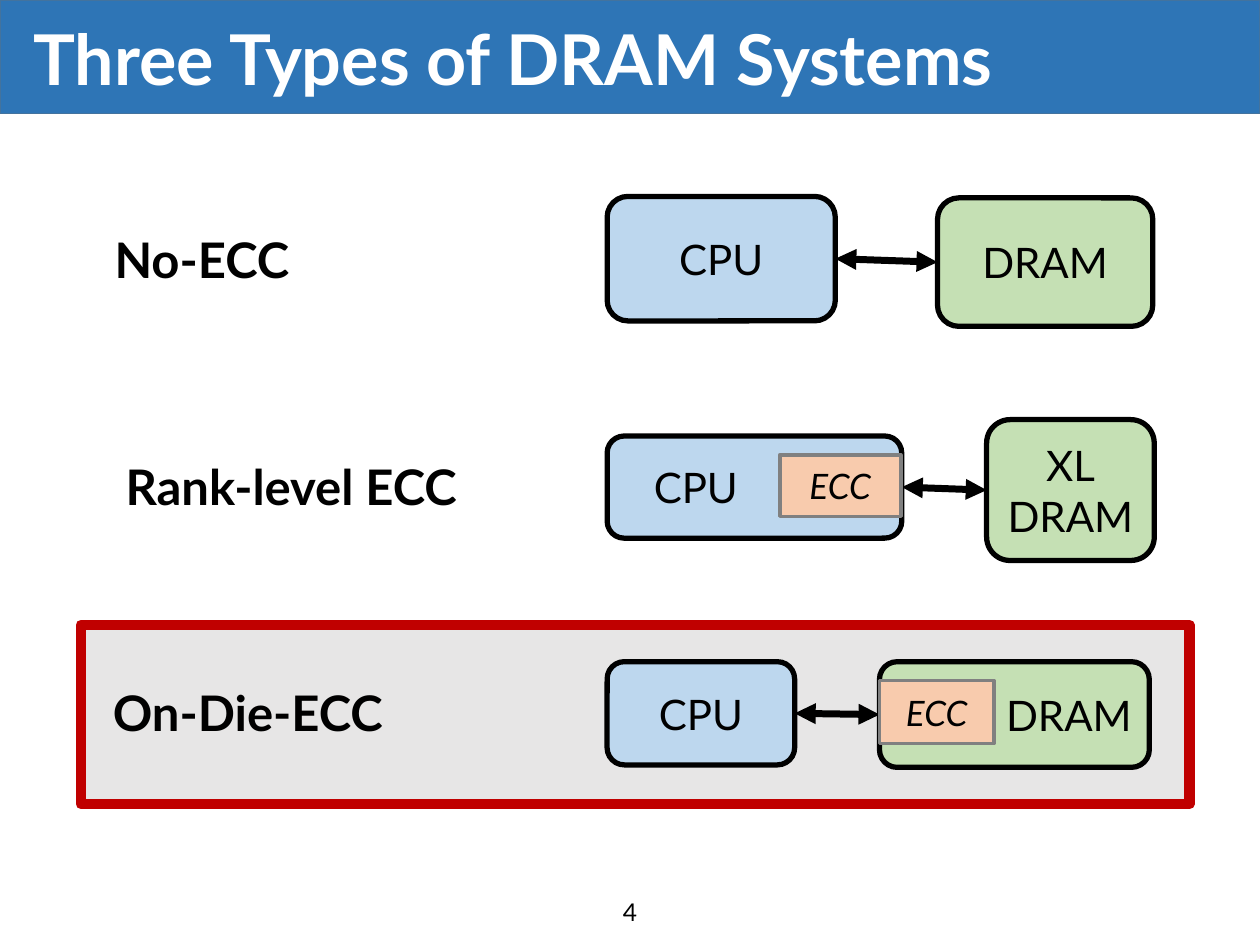
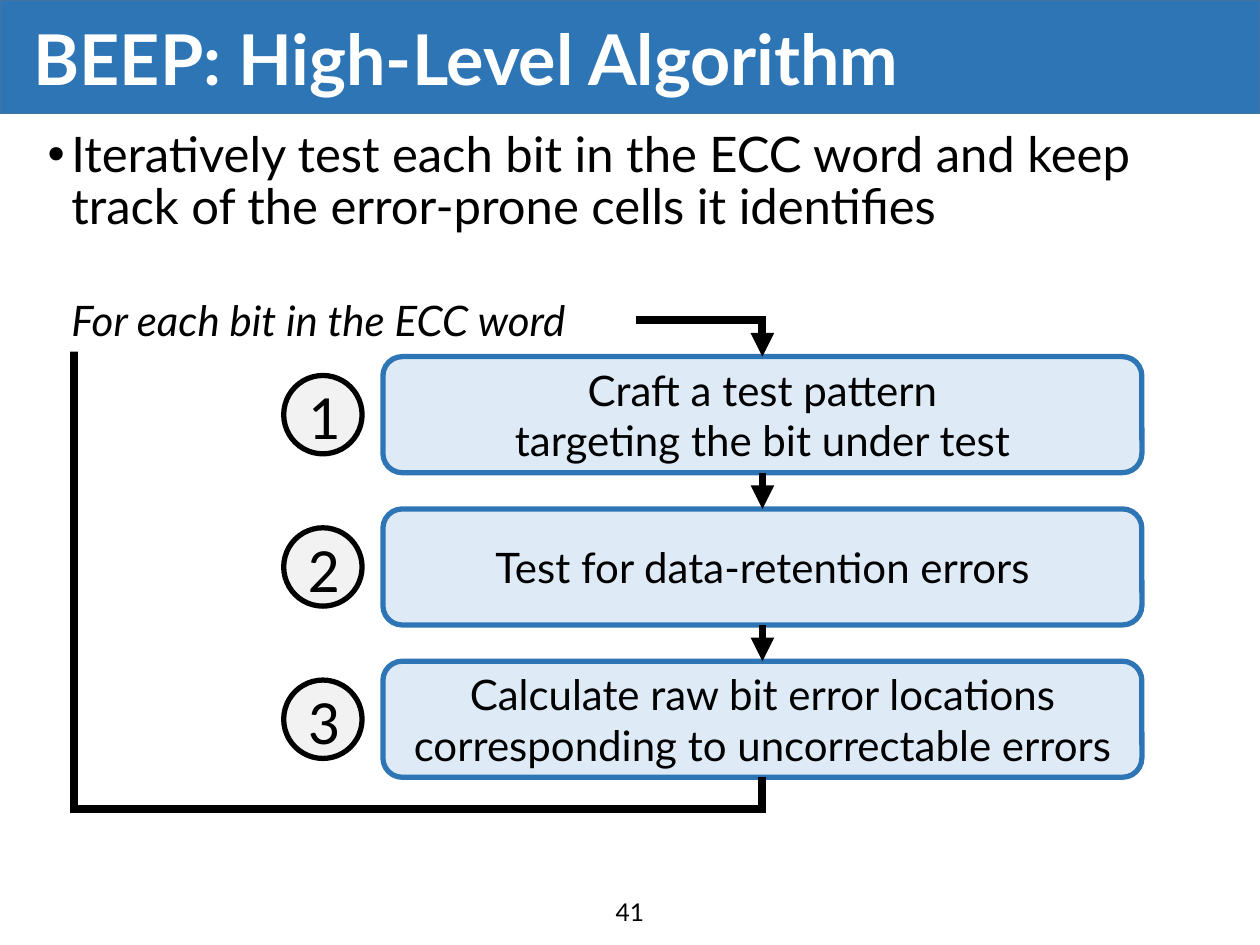
import pptx
import pptx.util
import pptx.dml.color
import pptx.enum.shapes
import pptx.enum.text
import pptx.oxml.ns
import lxml.etree

Cm, Pt = pptx.util.Cm, pptx.util.Pt
SHAPE = pptx.enum.shapes.MSO_SHAPE
CONNECTOR = pptx.enum.shapes.MSO_CONNECTOR
ALIGN = pptx.enum.text.PP_ALIGN
ANCHOR = pptx.enum.text.MSO_ANCHOR
RGB = pptx.dml.color.RGBColor.from_string
qn = pptx.oxml.ns.qn

COLORS = {
    "black": "000000", "white": "FFFFFF", "blue": "2E75B6", "band edge": "43739E",
    "panel": "E7E6E6", "red": "C00000", "cpu": "BDD7EE", "dram": "C5E0B4",
    "ecc": "F8CBAD", "ecc edge": "808080", "step": "DEEBF7", "number": "F2F2F2",
}


def add_text(slide, text, box, shape=None, fill=None, edge=None, edge_width=3, size=24,
             font="Lato", color="black", bold=False, italic=False, align=ALIGN.CENTER,
             anchor=ANCHOR.MIDDLE, spacing=None, before=0, bullet=False, inset=0.25):
    """Put text in a preset shape, or in a text box when no shape is given."""
    place = [Cm(length) for length in box]
    if shape is None:
        item = slide.shapes.add_textbox(*place)
    else:
        item = slide.shapes.add_shape(shape, *place)
        item.shadow.inherit = False
        if edge:
            item.line.color.rgb = RGB(COLORS[edge])
            item.line.width = Pt(edge_width)
        else:
            item.line.fill.background()
    if fill:
        item.fill.solid()
        item.fill.fore_color.rgb = RGB(COLORS[fill])
    frame = item.text_frame
    frame.word_wrap = True
    frame.vertical_anchor = anchor
    frame.margin_left = Cm(inset)
    for index, words in enumerate(text.split("\n") if text else []):
        paragraph = frame.add_paragraph() if index else frame.paragraphs[0]
        paragraph.alignment = align
        paragraph.space_before = Pt(before)
        if spacing:
            paragraph.line_spacing = spacing
        if bullet:
            properties = paragraph._p.get_or_add_pPr()
            properties.set("marL", str(Cm(0.48)))
            properties.set("indent", str(-Cm(0.48)))
            lxml.etree.SubElement(properties, qn("a:buFont")).set("typeface", "Arial")
            lxml.etree.SubElement(properties, qn("a:buChar")).set("char", "•")
        run = paragraph.add_run()
        run.text = words
        run.font.name, run.font.size = font, Pt(size)
        run.font.bold, run.font.italic = bold, italic
        run.font.color.rgb = RGB(COLORS[color])


def add_line(slide, start, end, width=4.5, ends=(), bend=None, adjust=(), turn=0):
    """Draw a straight line, or a bent one when a bend preset is named."""
    kind = CONNECTOR.ELBOW if bend else CONNECTOR.STRAIGHT
    line = slide.shapes.add_connector(kind, *[Cm(length) for length in start + end])
    line.line.color.rgb = RGB(COLORS["black"])
    line.line.width = Pt(width)
    properties = line.element.spPr
    outline = line.line._get_or_add_ln()
    lxml.etree.SubElement(outline, qn("a:miter")).set("lim", "800000")
    for tip in ends:
        lxml.etree.SubElement(outline, qn("a:" + tip)).set("type", "triangle")
    lxml.etree.SubElement(properties, qn("a:effectLst"))
    if bend:
        geometry = properties.find(qn("a:prstGeom"))
        geometry.set("prst", bend)
        guides = geometry.find(qn("a:avLst"))
        for index, share in enumerate(adjust, 1):
            guide = lxml.etree.SubElement(guides, qn("a:gd"))
            guide.set("name", f"adj{index}")
            guide.set("fmla", f"val {round(share * 100000)}")
    if turn:
        properties.find(qn("a:xfrm")).set("rot", str(turn * 60000))


deck = pptx.Presentation()
deck.slide_width, deck.slide_height = Cm(25.4), Cm(19.05)

# Title band and page number of both slides
slides = []
for title, page in [("Three Types of DRAM Systems", "4"),
                    ("BEEP: High-Level Algorithm", "41")]:
    slide = deck.slides.add_slide(deck.slide_layouts[6])
    add_text(slide, "", (0, 0, 25.4, 2.29), shape=SHAPE.RECTANGLE, fill="blue",
             edge="band edge", edge_width=1)
    add_text(slide, title, (0.43, 0.23, 24.49, 2.08), size=40, color="white", bold=True,
             align=ALIGN.LEFT, spacing=0.9)
    add_text(slide, page, (9.84, 17.95, 5.72, 0.78), size=14, anchor=ANCHOR.TOP)
    slides.append(slide)
systems, algorithm = slides

# Highlight behind the third system
add_text(systems, "", (1.63, 12.6, 22.35, 3.61), shape=SHAPE.RECTANGLE, fill="panel",
         edge="red", edge_width=6)

# Systems: label and its box, CPU box, DRAM text and box, ECC box, side that holds ECC
cpu_left = 12.24
rows = [
    ("No-ECC", (1.63, 4.5, 4.88, 1.45), (3.96, 4.6, 2.51),
     "DRAM", (18.9, 3.99, 4.34, 2.59), None, None),
    ("Rank-level ECC", (1.63, 9.07, 8.48, 1.45), (8.79, 5.94, 2.06),
     "XL\nDRAM", (19.89, 8.46, 3.38, 2.84), (15.72, 9.17, 2.44, 1.24), "cpu"),
    ("On-Die-ECC", (1.63, 13.64, 6.73, 1.45), (13.34, 3.78, 2.08),
     "DRAM", (17.73, 13.34, 5.44, 2.13), (17.73, 13.72, 2.31, 1.27), "dram"),
]
for label, label_box, (cpu_top, cpu_width, cpu_height), dram, dram_box, ecc_box, side in rows:
    add_text(systems, label, label_box, size=28, bold=True, anchor=ANCHOR.TOP)
    add_text(systems, dram, dram_box, shape=SHAPE.ROUNDED_RECTANGLE, fill="dram",
             edge="black", align=ALIGN.RIGHT if side == "dram" else ALIGN.CENTER)
    add_text(systems, "CPU", (cpu_left, cpu_top, cpu_width, cpu_height),
             shape=SHAPE.ROUNDED_RECTANGLE, fill="cpu", edge="black",
             align=ALIGN.LEFT if side == "cpu" else ALIGN.CENTER,
             inset=0.84 if side == "cpu" else 0.25)
    add_line(systems, (dram_box[0], dram_box[1] + dram_box[3] / 2),
             (cpu_left + cpu_width, cpu_top + cpu_height / 2), width=4,
             ends=("headEnd", "tailEnd"))
    if ecc_box:
        add_text(systems, "ECC", ecc_box, shape=SHAPE.RECTANGLE, fill="ecc",
                 edge="ecc edge", edge_width=2, size=20, italic=True)

# What the algorithm does
add_text(algorithm,
         "Iteratively test each bit in the ECC word and keep track of the error-prone cells it identifies",
         (0.71, 2.49, 24, 4.42), size=28, align=ALIGN.LEFT, anchor=ANCHOR.TOP,
         spacing=0.9, before=7.5, bullet=True)

# Numbered steps with arrows between them
steps = ["Craft a test pattern\ntargeting the bit under test",
         "Test for data-retention errors",
         "Calculate raw bit error locations\ncorresponding to uncorrectable errors"]
first_top, pitch, step_height, step_middle = 7.19, 3.07, 2.34, 15.37
for index, step in enumerate(steps):
    top = first_top + index * pitch
    add_text(algorithm, step, (7.72, top, 15.3, step_height),
             shape=SHAPE.ROUNDED_RECTANGLE, fill="step", edge="blue")
    add_text(algorithm, str(index + 1), (5.72, top + 0.38, 1.58, 1.58), shape=SHAPE.OVAL,
             fill="number", edge="black", size=36, font="Calibri")
    if index:
        add_line(algorithm, (step_middle, top - pitch + step_height), (step_middle, top),
                 ends=("tailEnd",))

# Loop from the last step back to the first: a bent line turned by a quarter
loop_left, loop_top = 1.5, 6.45
loop_bottom = first_top + 2 * pitch + step_height
rise, run_length = loop_bottom - loop_top, step_middle - loop_left
middle_x, middle_y = loop_left + run_length / 2, loop_top + rise / 2
add_line(algorithm, (middle_x + rise / 2, middle_y - run_length / 2),
         (middle_x - rise / 2, middle_y + run_length / 2),
         bend="bentConnector4", adjust=(-0.07, 1), turn=90)
add_line(algorithm, (loop_left, loop_top), (step_middle, first_top), ends=("tailEnd",),
         bend="bentConnector2")
add_text(algorithm, "For each bit in the ECC word", (1.19, 5.82, 11.63, 1.27),
         shape=SHAPE.RECTANGLE, fill="white", italic=True, align=ALIGN.LEFT,
         anchor=ANCHOR.TOP)

deck.save("out.pptx")
